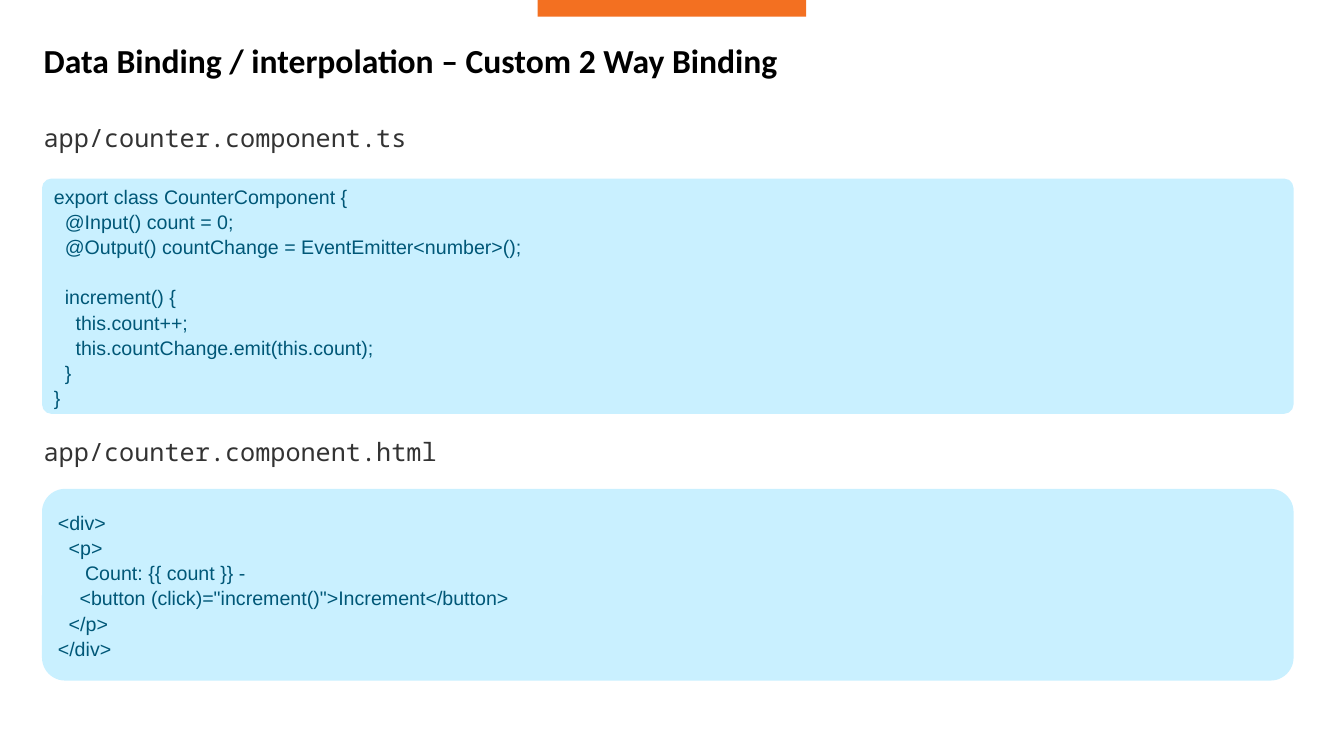
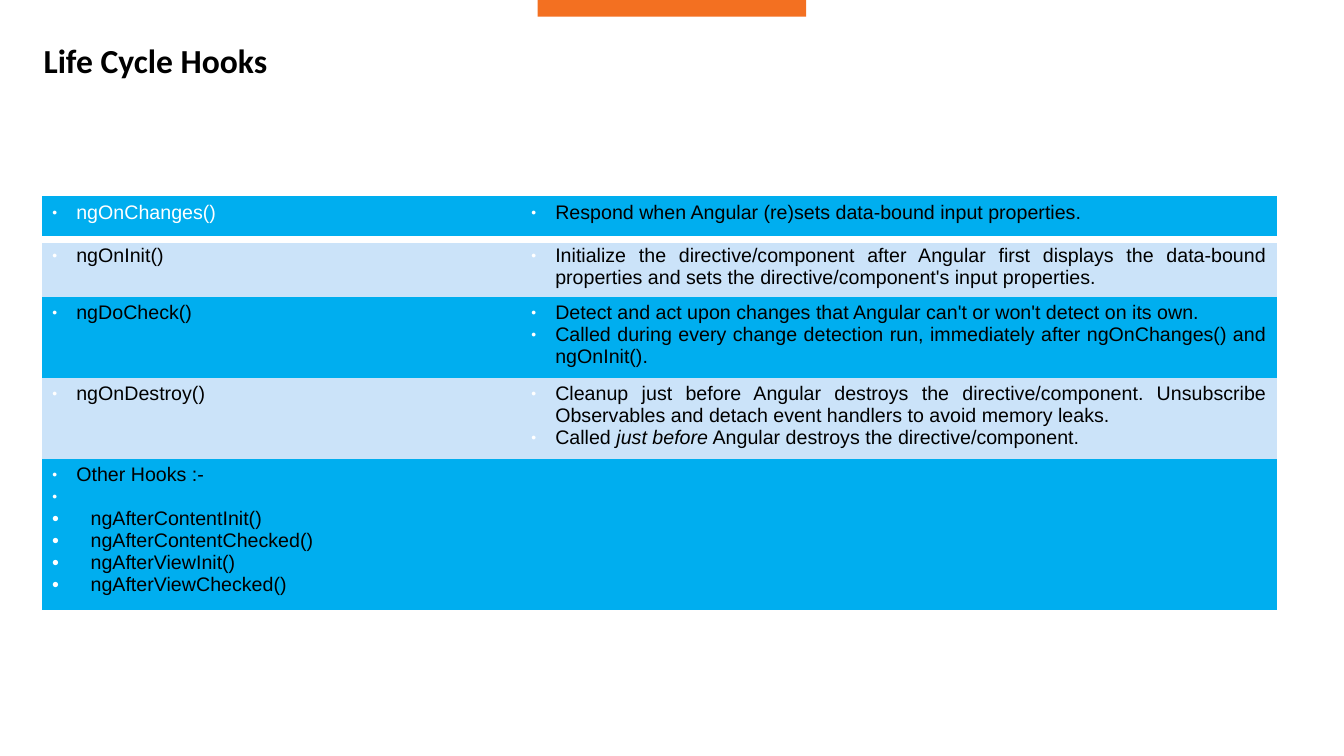
from lxml.etree import SubElement
from pptx import Presentation
from pptx.dml.color import RGBColor as RGB
from pptx.enum.shapes import MSO_SHAPE as SHAPE
from pptx.enum.text import MSO_ANCHOR as ANCHOR, PP_ALIGN as ALIGN
from pptx.oxml.ns import qn
from pptx.util import Cm, Pt


class Theme:
    orange = RGB.from_string("F37021")
    black = RGB.from_string("000000")
    white = RGB.from_string("FFFFFF")
    grey = RGB.from_string("333333")
    pale = RGB.from_string("C9F0FF")
    teal = RGB.from_string("005777")
    blue = RGB.from_string("00AEEF")
    light = RGB.from_string("CBE3F9")
    head, label, body = Pt(24), Pt(18), Pt(14)
    sans, mono, title = "Arial", "Noto Sans Mono", "Calibri"


def style(para, face, size, color, bold=False):
    for run in para.runs:
        font = run.font
        font.name, font.size, font.bold = face, size, bold
        font.color.rgb = color
    if not para.runs:
        SubElement(para._p, qn("a:endParaRPr"), sz=str(int(size.pt * 100)))


def add_label(slide, text, top, face, size, color, bold=False):
    box = slide.shapes.add_textbox(Cm(0.85), Cm(top), Cm(32.17), Cm(1.02))
    frame = box.text_frame
    frame.word_wrap = True
    frame.text = text
    style(frame.paragraphs[0], face, size, color, bold)
    return frame.paragraphs[0]


deck = Presentation()
deck.slide_width, deck.slide_height = Cm(33.87), Cm(19.05)

# Shared band and title
slides = []
for title in ("Data Binding / interpolation – Custom 2 Way Binding", "Life Cycle Hooks"):
    slide = deck.slides.add_slide(deck.slide_layouts[6])
    band = slide.shapes.add_shape(SHAPE.RECTANGLE, Cm(13.55), 0, Cm(6.77), Cm(0.42))
    band.shadow.inherit = False
    band.fill.solid()
    band.fill.fore_color.rgb = Theme.orange
    band.line.fill.background()
    para = add_label(slide, title, 1.09, Theme.title, Theme.head, Theme.black, True)
    para.line_spacing = 0.8
    slides.append(slide)
code, hooks = slides

# Code panels: file, label top, panel top, height, corner, source
class_code = """export class CounterComponent {
  @Input() count = 0;
  @Output() countChange = EventEmitter<number>();

  increment() {
    this.count++;
    this.countChange.emit(this.count);
  }
}"""
html_code = """<div>
  <p>
     Count: {{ count }} -
    <button (click)="increment()">Increment</button>
  </p>
</div>"""
panels = [
    ("app/counter.component.ts", 2.97, 4.5, 5.93, 0.04, class_code),
    ("app/counter.component.html", 10.88, 12.32, 4.83, 0.12, html_code),
]
for name, y, top, height, corner, source in panels:
    add_label(code, name, y, Theme.mono, Theme.label, Theme.grey)
    panel = code.shapes.add_shape(
        SHAPE.ROUNDED_RECTANGLE, Cm(1.06), Cm(top), Cm(31.54), Cm(height))
    panel.adjustments[0] = corner
    panel.shadow.inherit = False
    panel.fill.solid()
    panel.fill.fore_color.rgb = Theme.pale
    panel.line.fill.background()
    frame = panel.text_frame
    frame.word_wrap = True
    frame.vertical_anchor = ANCHOR.MIDDLE
    frame.margin_left = frame.margin_right = Cm(0.23)
    frame.text = source
    for para in frame.paragraphs:
        para.alignment = ALIGN.LEFT
        para.line_spacing = 1.07
        style(para, Theme.sans, Theme.body, Theme.teal)

# Hook table: row height, name lines, description lines; *...* is italic
after = ["ngAfterContentInit()", "ngAfterContentChecked()",
         "ngAfterViewInit()", "ngAfterViewChecked()"]
rows = [
    (1.08, ["ngOnChanges()"],
     ["Respond when Angular (re)sets data-bound input properties."]),
    (1.45, ["ngOnInit()"],
     ["Initialize the directive/component after Angular first displays the data-bound "
      "properties and sets the directive/component's input properties."]),
    (2.04, ["ngDoCheck()"],
     ["Detect and act upon changes that Angular can't or won't detect on its own.",
      "Called during every change detection run, immediately "
      "after ngOnChanges() and ngOnInit()."]),
    (2.04, ["ngOnDestroy()"],
     ["Cleanup just before Angular destroys the directive/component. Unsubscribe "
      "Observables and detach event handlers to avoid memory leaks.",
      "Called *just before* Angular destroys the directive/component."]),
    (3.78, ["Other Hooks :-", " "] + after, []),
]
widths = (12.07, 19.05)
total = sum(row[0] for row in rows)
table = hooks.shapes.add_table(
    len(rows), 2, Cm(1.06), Cm(4.95), Cm(sum(widths)), Cm(total)).table
table.first_row = table.horz_banding = False
plain = "{2D5ABB26-0587-4C30-8999-92F81FD0307C}"
table._tbl.tblPr.find(qn("a:tableStyleId")).text = plain
for col, width in zip(table.columns, widths):
    col.width = Cm(width)
table.cell(4, 0).merge(table.cell(4, 1))

for r, (height, *texts) in enumerate(rows):
    table.rows[r].height = Cm(height)
    for c, lines in enumerate(texts):
        cell = table.cell(r, c)
        if r == 0:
            edge = SubElement(cell._tc.get_or_add_tcPr(), qn("a:lnB"), w=str(Pt(6)))
            paint = SubElement(edge, qn("a:solidFill"))
            SubElement(paint, qn("a:srgbClr"), val=str(Theme.white))
        cell.fill.solid()
        cell.fill.fore_color.rgb = Theme.light if r % 2 else Theme.blue
        frame = cell.text_frame
        frame.text = "\n".join(lines)
        for para, line in zip(frame.paragraphs, lines):
            # Bullet
            deep = line in after
            props = para._p.get_or_add_pPr()
            indent = Cm(0.97 if deep else 0.61)
            props.set("marL", str(indent))
            props.set("indent", str(-indent))
            tint = SubElement(props, qn("a:buClr"))
            SubElement(tint, qn("a:srgbClr"), val=str(Theme.white))
            if not deep:
                SubElement(props, qn("a:buSzPct"), val="45000")
            SubElement(props, qn("a:buFont"), typeface=Theme.sans)
            SubElement(props, qn("a:buChar"), char="•" if deep else "●")
            para.alignment = ALIGN.JUSTIFY if r and c else ALIGN.LEFT
            # Italic part
            if "*" in line:
                first, *rest = line.split("*")
                para.runs[0].text = first
                for i, part in enumerate(rest):
                    run = para.add_run()
                    run.text = part
                    run.font.italic = i % 2 == 0
            color = Theme.black if r or c else Theme.white
            style(para, Theme.sans, Theme.body, color)

deck.save("out.pptx")
